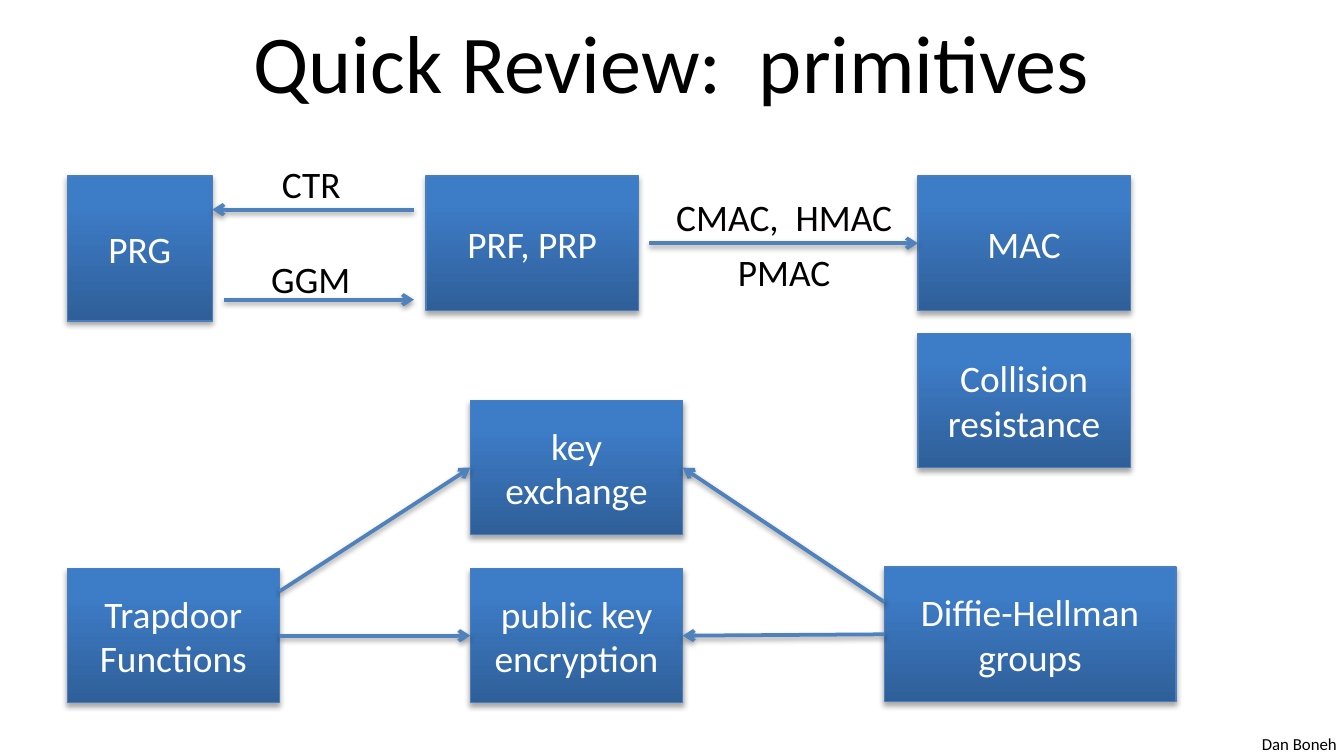
import pptx
import pptx.dml.color
import pptx.enum.shapes
import pptx.enum.text
import pptx.oxml
import pptx.oxml.ns
import pptx.util

Inches = pptx.util.Inches
Pt = pptx.util.Pt
RGBColor = pptx.dml.color.RGBColor
Align = pptx.enum.text.PP_ALIGN
Anchor = pptx.enum.text.MSO_ANCHOR

BLACK = RGBColor(0x00, 0x00, 0x00)
WHITE = RGBColor(0xFF, 0xFF, 0xFF)
DEEP_BLUE = RGBColor(0x2F, 0x5F, 0x99)
BRIGHT_BLUE = RGBColor(0x3D, 0x7C, 0xC7)
BORDER_BLUE = RGBColor(0x4B, 0x7E, 0xBC)
ARROW_BLUE = RGBColor(0x4F, 0x81, 0xBD)
LEFT, RIGHT = 1, 3


def write_text(frame, text, size=20, color=BLACK, align=Align.LEFT,
               anchor=Anchor.TOP, wrap=True, spacing=None):
    frame.word_wrap = wrap
    frame.vertical_anchor = anchor
    para = frame.paragraphs[0]
    para.text = text
    para.alignment = align
    if spacing:
        para.line_spacing = Pt(spacing)
    for span in para.runs:
        span.font.name = "Calibri"
        span.font.size = Pt(size)
        span.font.color.rgb = color


class PrimitivesSlide:
    """Hold the style and the page, and add each kind of element to it."""

    def __init__(self, deck):
        self.page = deck.slides.add_slide(deck.slide_layouts[6])

    def cast_shadow(self, element, alpha, distance):
        element.append(pptx.oxml.parse_xml(
            f'<a:effectLst {pptx.oxml.ns.nsdecls("a")}>'
            f'<a:outerShdw blurRad="{Pt(3.1)}" dist="{Pt(distance)}" dir="5400000" rotWithShape="0">'
            f'<a:srgbClr val="{BLACK}"><a:alpha val="{alpha * 1000}"/></a:srgbClr>'
            '</a:outerShdw></a:effectLst>'))

    def label(self, text, left, top, width, height, wrap=False, **style):
        box = self.page.shapes.add_textbox(
            Inches(left), Inches(top), Inches(width), Inches(height))
        write_text(box.text_frame, text, wrap=wrap, **style)

    def block(self, text, left, top, width=1.58, height=1):
        box = self.page.shapes.add_shape(
            pptx.enum.shapes.MSO_SHAPE.RECTANGLE,
            Inches(left), Inches(top), Inches(width), Inches(height))
        box.fill.gradient()
        box.fill.gradient_angle = 90
        stops = zip(box.fill.gradient_stops, (0, 0.8), (DEEP_BLUE, BRIGHT_BLUE))
        for stop, position, color in stops:
            stop.position = position
            stop.color.rgb = color
        box.line.color.rgb = BORDER_BLUE
        box.line.width = Pt(0.75)
        self.cast_shadow(box._element.spPr, 35, 1.8)
        write_text(box.text_frame, text, color=WHITE,
                   align=Align.CENTER, anchor=Anchor.MIDDLE)
        return box

    def arrow(self, start, end, source=None, target=None):
        line = self.page.shapes.add_connector(
            pptx.enum.shapes.MSO_CONNECTOR.STRAIGHT,
            *(Inches(value) for value in (*start, *end)))
        if source:
            line.begin_connect(*source)
        if target:
            line.end_connect(*target)
        line.line.color.rgb = ARROW_BLUE
        line.line.width = Pt(2)
        line.line._get_or_add_ln().append(pptx.oxml.parse_xml(
            f'<a:tailEnd {pptx.oxml.ns.nsdecls("a")} type="arrow"/>'))
        self.cast_shadow(line._element.spPr, 38, 1.6)


def main():
    deck = pptx.Presentation()
    deck.slide_width = Inches(10)
    deck.slide_height = deck.slide_width * 9 // 16
    slide = PrimitivesSlide(deck)

    slide.label("Dan Boneh", 9.29, 5.41, 0.76, 0.25, size=9)
    slide.label("Quick Review:  primitives", 0.5, -0.02, 9, 0.94, wrap=True,
                size=44, align=Align.CENTER, anchor=Anchor.MIDDLE)

    slide.block("PRG", 0.5, 1.31, 1.08, 1.08)
    slide.block("PRF, PRP", 3.17, 1.31)
    mac = slide.block("MAC", 6.83, 1.31)
    slide.block("Collision\nresistance", 6.83, 2.48)
    exchange = slide.block("key exchange", 3.5, 2.98)
    trapdoor = slide.block("Trapdoor\nFunctions", 0.5, 4.23)
    encryption = slide.block("public key\nencryption", 3.5, 4.23)
    groups = slide.block("Diffie-Hellman groups", 6.58, 4.22, 2.17)

    slide.arrow((1.67, 2.23), (3.08, 2.23))
    slide.arrow((3.08, 1.56), (1.58, 1.56))
    slide.arrow((4.83, 1.81), (6.83, 1.81), target=(mac, LEFT))
    slide.arrow((2.08, 4.73), (3.5, 4.73), (trapdoor, RIGHT), (encryption, LEFT))
    slide.arrow((2.08, 4.4), (3.5, 3.48), target=(exchange, LEFT))
    slide.arrow((6.58, 4.72), (5.08, 4.73), (groups, LEFT), (encryption, RIGHT))
    slide.arrow((6.58, 4.48), (5.08, 3.48), target=(exchange, RIGHT))

    slide.label("GGM", 1.92, 1.86, 0.8, 0.44)
    slide.label("CTR", 2, 1.15, 0.64, 0.44)
    slide.label("CMAC,  HMAC\nPMAC", 4.92, 1.33, 1.83, 0.9,
                align=Align.CENTER, spacing=29)

    deck.save("out.pptx")


if __name__ == "__main__":
    main()
